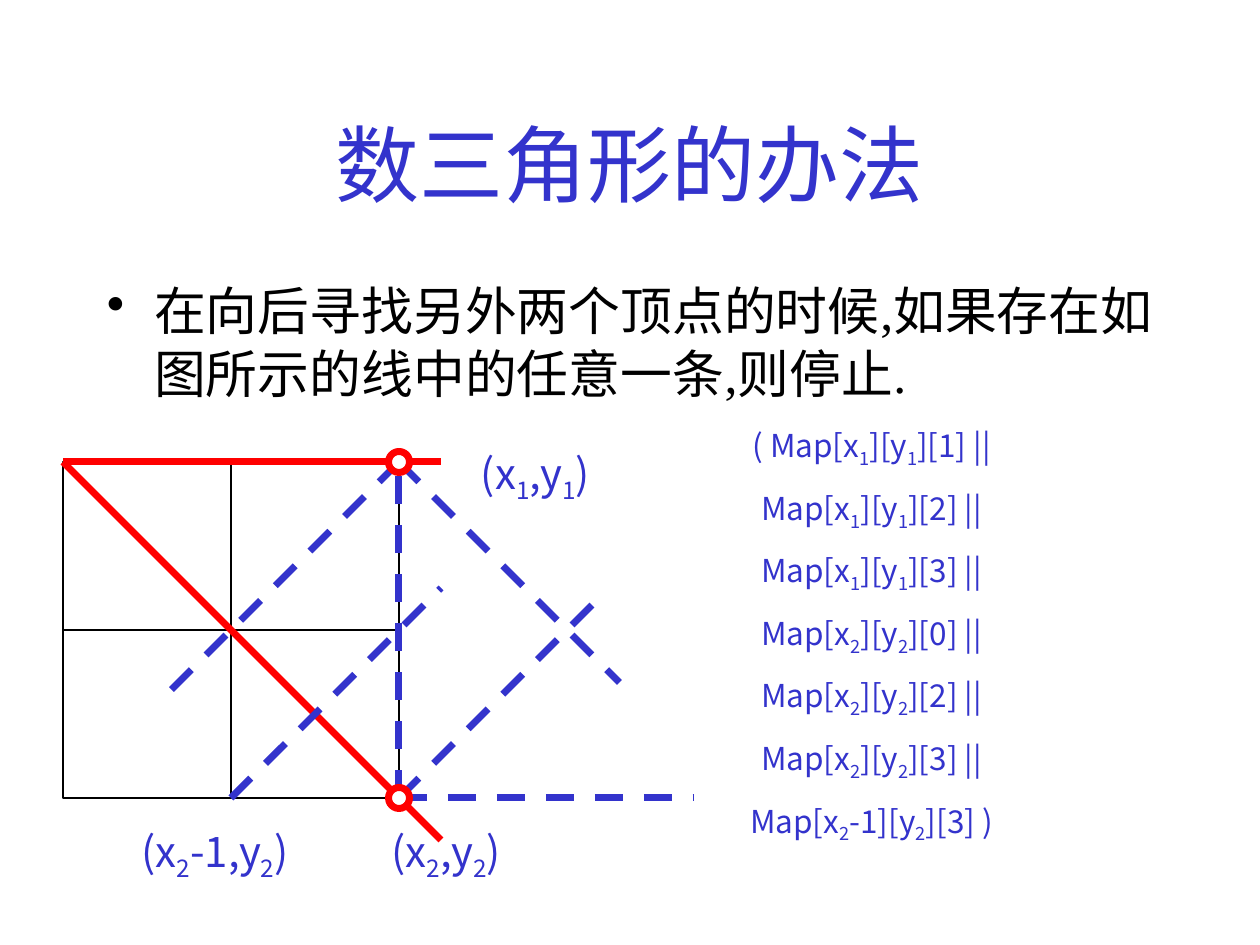
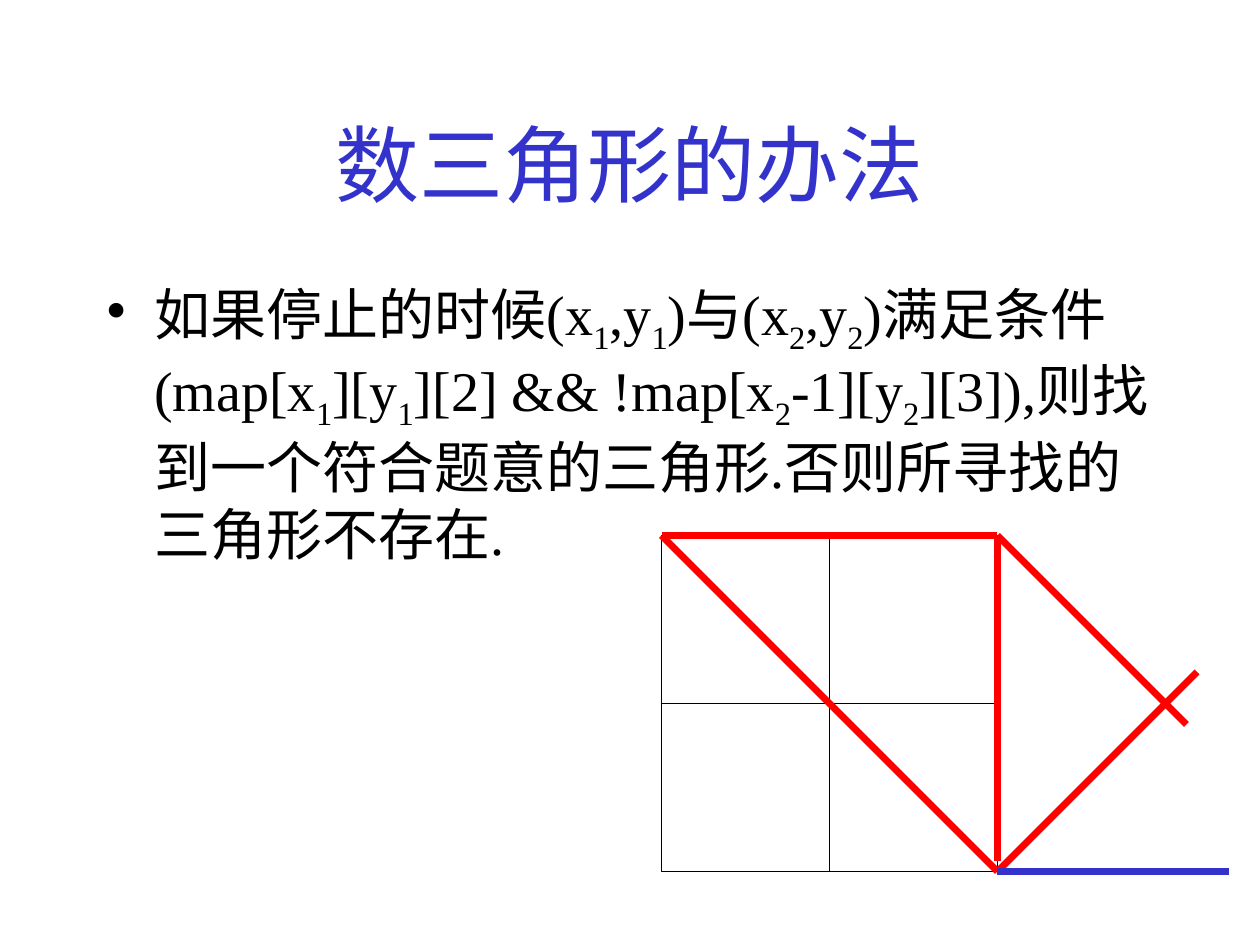
"""Build two slides on counting triangles in a grid."""
from dataclasses import dataclass
from typing import Optional

import lxml.etree
import pptx
import pptx.dml.color
import pptx.enum.dml
import pptx.enum.shapes
import pptx.enum.text
import pptx.oxml.ns
import pptx.util

PX = 9525
CELL = 128
SIDE = 2 * CELL
VERTEX_SIZE = 16
TOP, LEFT, BOTTOM, RIGHT = range(4)

BLUE = pptx.dml.color.RGBColor(0x33, 0x33, 0xCC)
RED = pptx.dml.color.RGBColor(0xFF, 0x00, 0x00)
BLACK = pptx.dml.color.RGBColor(0x00, 0x00, 0x00)
WHITE = pptx.dml.color.RGBColor(0xFF, 0xFF, 0xFF)

SERIF = "Times New Roman"
SANS = "Noto Sans CJK SC"
HEADING = "数三角形的办法"

Point = tuple[int, int]
Box = tuple[int, int, int, int]


@dataclass(frozen=True)
class Segment:
    """A line between two offsets from the grid's top left corner."""
    start: Point
    end: Point
    color: pptx.dml.color.RGBColor = RED
    dashed: bool = False
    width: int = 4
    start_side: Optional[int] = None
    end_side: Optional[int] = None


@dataclass(frozen=True)
class TextStyle:
    """The look of a block of text."""
    size: float
    font: str
    color: pptx.dml.color.RGBColor
    space_before: float = 0
    centered: bool = True


@dataclass(frozen=True)
class Label:
    """Centred lines of text, where an underscore lowers the next character."""
    box: Box
    lines: tuple[str, ...]
    style: TextStyle


@dataclass(frozen=True)
class Page:
    """The content of one slide."""
    statement: str
    statement_size: float
    statement_height: int
    origin: Point
    segments: tuple[Segment, ...]
    vertices: tuple[Point, ...] = ()
    labels: tuple[Label, ...] = ()


TITLE_STYLE = TextStyle(48, SERIF, BLUE)
POINT_STYLE = TextStyle(24, SANS, BLUE, 15)
CONDITION_STYLE = TextStyle(18, SANS, BLUE, 11.2)

UPPER_LEFT = (0, 0)
UPPER_RIGHT = (SIDE, 0)
LOWER_RIGHT = (SIDE, SIDE)
LOWER_MIDDLE = (CELL, SIDE)

GRID_LINES = (
    Segment((0, CELL), (SIDE, CELL), BLACK, width=1, start_side=LEFT, end_side=RIGHT),
    Segment((CELL, 0), LOWER_MIDDLE, BLACK, width=1, start_side=TOP, end_side=BOTTOM),
)

PAGES = (
    Page(
        statement="在向后寻找另外两个顶点的时候,如果存在如图所示的线中的任意一条,则停止.",
        statement_size=29.6,
        statement_height=112,
        origin=(48, 352),
        segments=(
            Segment(UPPER_LEFT, (288, 0)),
            Segment(UPPER_LEFT, (288, 288)),
            Segment(UPPER_RIGHT, (80, 176), BLUE, True),
            Segment(UPPER_RIGHT, (424, 168), BLUE, True),
            Segment(LOWER_RIGHT, UPPER_RIGHT, BLUE, True),
            Segment(LOWER_RIGHT, (408, 104), BLUE, True),
            Segment(LOWER_RIGHT, (480, SIDE), BLUE, True),
            Segment(LOWER_MIDDLE, (288, 96), BLUE, True, start_side=BOTTOM),
        ),
        vertices=(UPPER_RIGHT, LOWER_RIGHT),
        labels=(
            Label((256, 624, 168, 54), ("(x_2,y_2)",), POINT_STYLE),
            Label((336, 336, 144, 54), ("(x_1,y_1)",), POINT_STYLE),
            Label((72, 624, 184, 54), ("(x_2-1,y_2)",), POINT_STYLE),
            Label(
                (432, 320, 464, 329),
                (
                    "( Map[x_1][y_1][1] ||",
                    "Map[x_1][y_1][2] ||",
                    "Map[x_1][y_1][3] ||",
                    "Map[x_2][y_2][0] ||",
                    "Map[x_2][y_2][2] ||",
                    "Map[x_2][y_2][3] ||",
                    "Map[x_2-1][y_2][3] )",
                ),
                CONDITION_STYLE,
            ),
        ),
    ),
    Page(
        statement=(
            "如果停止的时候(x_1,y_1)与(x_2,y_2)满足条件"
            "(map[x_1][y_1][2] && !map[x_2-1][y_2][3]),"
            "则找到一个符合题意的三角形.否则所寻找的三角形不存在."
        ),
        statement_size=32,
        statement_height=432,
        origin=(504, 408),
        segments=(
            Segment(UPPER_LEFT, LOWER_RIGHT),
            Segment(UPPER_LEFT, UPPER_RIGHT),
            Segment(UPPER_RIGHT, (SIDE, 248)),
            Segment(LOWER_RIGHT, (408, 104)),
            Segment(LOWER_RIGHT, (432, SIDE), BLUE),
            Segment(UPPER_RIGHT, (400, 144)),
        ),
    ),
)


def px(*lengths: int) -> list[int]:
    """Turn pixel lengths into EMU."""
    return [length * PX for length in lengths]


def write_paragraph(paragraph, markup: str, style: TextStyle) -> None:
    """Fill a paragraph, lowering each character that follows an underscore."""
    plain, *lowered = markup.split("_")
    pieces = [(plain, False)]
    for piece in lowered:
        pieces += [(piece[0], True), (piece[1:], False)]
    for text, is_subscript in pieces:
        run = paragraph.add_run()
        run.text = text
        run.font.size = pptx.util.Pt(style.size)
        run.font.name = style.font
        run.font.color.rgb = style.color
        properties = run.font._element
        east_asian = lxml.etree.SubElement(properties, pptx.oxml.ns.qn("a:ea"))
        east_asian.set("typeface", SANS)
        if is_subscript:
            properties.set("baseline", "-25000")
    paragraph.space_before = pptx.util.Pt(style.space_before)
    alignment = pptx.enum.text.PP_ALIGN
    paragraph.alignment = alignment.CENTER if style.centered else alignment.LEFT


def add_title(slide) -> None:
    """Place and format the shared heading."""
    heading = slide.shapes.title
    heading.left, heading.top, heading.width, heading.height = px(72, 64, 816, 120)
    heading.text_frame.vertical_anchor = pptx.enum.text.MSO_ANCHOR.MIDDLE
    write_paragraph(heading.text_frame.paragraphs[0], HEADING, TITLE_STYLE)


def add_statement(slide, page: Page) -> None:
    """Add the bulleted statement under the heading."""
    frame = slide.shapes.add_textbox(*px(72, 208, 816, page.statement_height)).text_frame
    frame.word_wrap = True
    paragraph = frame.paragraphs[0]
    style = TextStyle(page.statement_size, SERIF, BLACK, 8, centered=False)
    write_paragraph(paragraph, page.statement, style)
    properties = paragraph._p.get_or_add_pPr()
    properties.set("marL", str(36 * PX))
    properties.set("indent", str(-36 * PX))
    bullet = lxml.etree.SubElement(properties, pptx.oxml.ns.qn("a:buChar"))
    bullet.set("char", "•")


def add_label(slide, label: Label) -> None:
    """Add a label with one paragraph for each of its lines."""
    frame = slide.shapes.add_textbox(*px(*label.box)).text_frame
    frame.word_wrap = True
    frame.auto_size = pptx.enum.text.MSO_AUTO_SIZE.SHAPE_TO_FIT_TEXT
    for index, line in enumerate(label.lines):
        paragraph = frame.add_paragraph() if index else frame.paragraphs[0]
        write_paragraph(paragraph, line, label.style)


def add_segment(slide, segment: Segment, origin: Point, square) -> None:
    """Draw a segment and join it to the square where it meets a side's middle."""
    x, y = origin
    (x1, y1), (x2, y2) = segment.start, segment.end
    edge = slide.shapes.add_connector(
        pptx.enum.shapes.MSO_CONNECTOR.STRAIGHT, *px(x + x1, y + y1, x + x2, y + y2)
    )
    edge.line.color.rgb = segment.color
    edge.line.width = pptx.util.Pt(segment.width)
    if segment.dashed:
        edge.line.dash_style = pptx.enum.dml.MSO_LINE.DASH
    if segment.start_side is not None:
        edge.begin_connect(square, segment.start_side)
    if segment.end_side is not None:
        edge.end_connect(square, segment.end_side)
    lxml.etree.SubElement(edge._element.spPr, pptx.oxml.ns.qn("a:effectLst"))


def add_square(slide, origin: Point):
    """Draw the unfilled square around the grid."""
    square = slide.shapes.add_shape(
        pptx.enum.shapes.MSO_SHAPE.RECTANGLE, *px(*origin, SIDE, SIDE)
    )
    square.shadow.inherit = False
    square.fill.background()
    square.line.color.rgb = BLACK
    square.line.width = pptx.util.Pt(1)
    return square


def add_vertex(slide, center: Point, origin: Point) -> None:
    """Draw a ring around a vertex of the triangle."""
    x, y = (start + offset - VERTEX_SIZE // 2 for start, offset in zip(origin, center))
    ring = slide.shapes.add_shape(
        pptx.enum.shapes.MSO_SHAPE.OVAL, *px(x, y, VERTEX_SIZE, VERTEX_SIZE)
    )
    ring.shadow.inherit = False
    ring.fill.solid()
    ring.fill.fore_color.rgb = WHITE
    ring.line.color.rgb = RED
    ring.line.width = pptx.util.Pt(4)


def add_page(deck, page: Page) -> None:
    """Add one slide with its statement, figure and labels."""
    slide = deck.slides.add_slide(deck.slide_layouts[5])
    add_title(slide)
    add_statement(slide, page)
    square = add_square(slide, page.origin)
    for segment in GRID_LINES + page.segments:
        add_segment(slide, segment, page.origin, square)
    for vertex in page.vertices:
        add_vertex(slide, vertex, page.origin)
    for label in page.labels:
        add_label(slide, label)


def main() -> None:
    """Build and save the deck."""
    deck = pptx.Presentation()
    deck.slide_width, deck.slide_height = px(960, 720)
    for page in PAGES:
        add_page(deck, page)
    deck.save("out.pptx")


if __name__ == "__main__":
    main()
